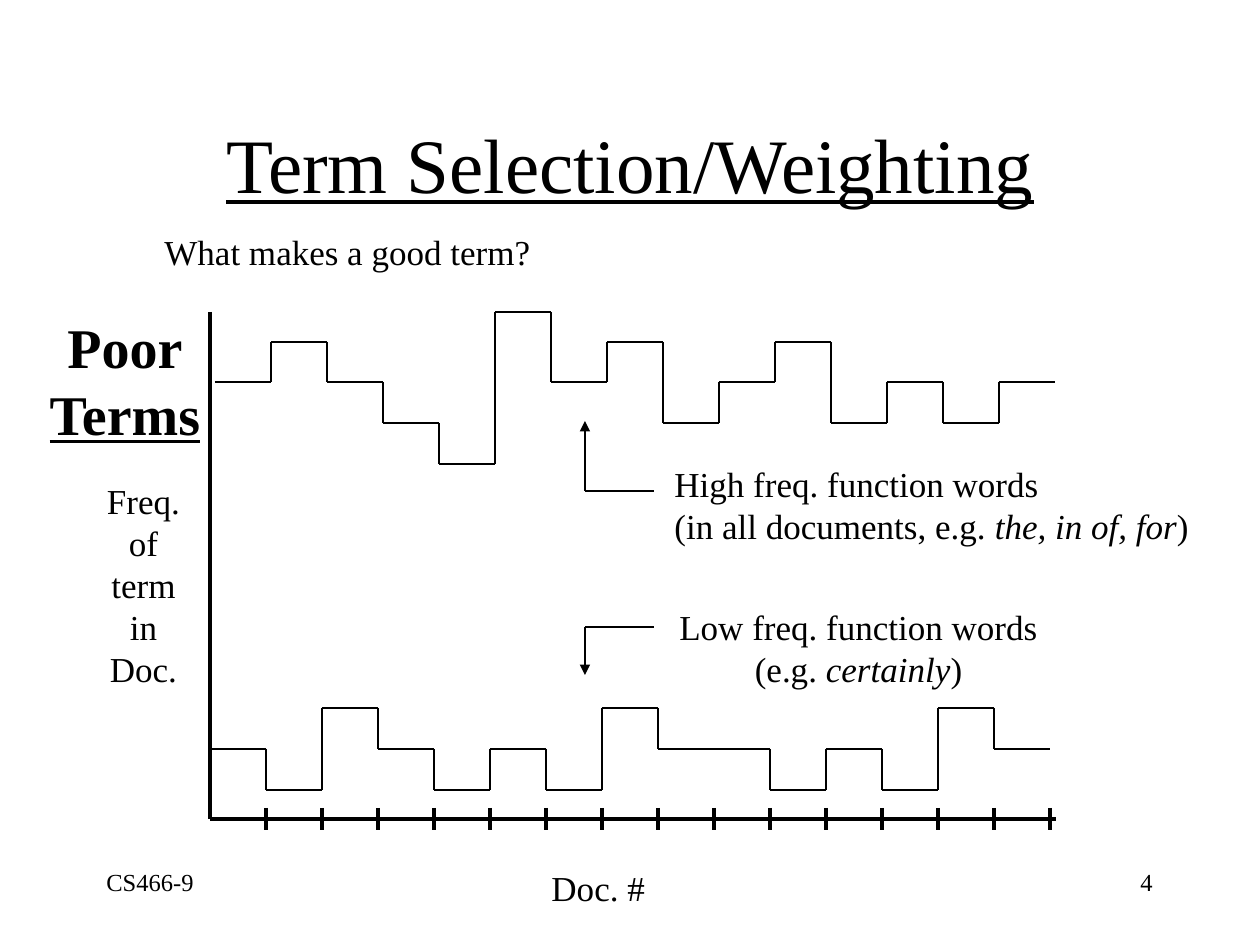
"""Build the "Term Selection/Weighting" slide with its two step curves."""
from dataclasses import dataclass, field
from itertools import groupby, pairwise

from lxml import etree
from pptx import Presentation
from pptx.dml.color import RGBColor
from pptx.enum.shapes import MSO_CONNECTOR
from pptx.enum.text import MSO_ANCHOR, MSO_AUTO_SIZE, PP_ALIGN
from pptx.oxml.ns import qn
from pptx.util import Emu, Pt

STRAIGHT = MSO_CONNECTOR.STRAIGHT
TOP, MIDDLE = MSO_ANCHOR.TOP, MSO_ANCHOR.MIDDLE
LEFT, CENTER, RIGHT = PP_ALIGN.LEFT, PP_ALIGN.CENTER, PP_ALIGN.RIGHT
GROW, FIXED = MSO_AUTO_SIZE.SHAPE_TO_FIT_TEXT, MSO_AUTO_SIZE.NONE

BLACK = RGBColor(0, 0, 0)
FONT = "Times New Roman"
PX_PER_INCH = 126
DOC_WIDTH, DOC_COUNT = 56, 15
AXIS_X, AXIS_Y = 210, 819
AXIS_PT, STEP_PT, POINTER_PT = 2.25, 1, 0.75


@dataclass(frozen=True)
class Run:
    text: str
    format: dict = field(default_factory=dict)


@dataclass(frozen=True)
class Label:
    left: int
    top: int
    width: int
    height: int
    paragraphs: list[list[Run]]
    size: int = 20
    align: PP_ALIGN = LEFT
    anchor: MSO_ANCHOR = TOP
    wrap: bool = False


@dataclass(frozen=True)
class Curve:
    left: int
    heights: dict[str, int]
    levels: str


@dataclass(frozen=True)
class Pointer:
    start_x: int
    corner_x: int
    corner_y: int
    tip_y: int


ITALIC, BOLD, UNDERLINE = {"italic": True}, {"bold": True}, {"underline": True}

LABELS = [
    Label(95, 84, 1071, 158, [[Run("Term Selection/Weighting", UNDERLINE)]],
          size=44, align=CENTER, anchor=MIDDLE, wrap=True),
    Label(152, 224, 400, 55, [[Run("What makes a good term?")]]),
    Label(539, 860, 130, 55, [[Run("Doc. #")]]),
    Label(662, 456, 550, 97, [
        [Run("High freq. function words")],
        [Run("(in all documents, e.g. "), Run("the, in of, for", ITALIC), Run(")")],
    ]),
    Label(659, 599, 399, 97, [
        [Run("Low freq. function words")],
        [Run("(e.g. "), Run("certainly", ITALIC), Run(")")],
    ], align=CENTER),
    Label(30, 306, 190, 147, [[Run("Poor", BOLD)], [Run("Terms", BOLD | UNDERLINE)]],
          size=32, align=CENTER),
    Label(89, 473, 109, 223,
          [[Run(word)] for word in ("Freq.", "of", "term", "in", "Doc.")], align=CENTER),
    Label(903, 861, 262, 63, [[Run("4")]], size=14, align=RIGHT, wrap=True),
    Label(94, 861, 262, 63, [[Run("CS466-9")]], size=14, wrap=True),
]

CURVES = [
    Curve(215, {"T": 312, "H": 342, "M": 382, "L": 423, "B": 464}, "MHMLBTMHLMHLMLM"),
    Curve(AXIS_X, {"H": 708, "M": 749, "L": 790}, "MLHMLMLHMMLMLHM"),
]

POINTERS = [Pointer(654, 585, 491, 421), Pointer(654, 585, 627, 675)]


def px(length: int) -> Emu:
    return Emu(round(length * 914400 / PX_PER_INCH))


def add_line(slide, x1: int, y1: int, x2: int, y2: int, weight: float, arrow: bool = False) -> None:
    connector = slide.shapes.add_connector(STRAIGHT, px(x1), px(y1), px(x2), px(y2))
    connector.line.color.rgb = BLACK
    connector.line.width = Pt(weight)
    properties = connector.line._get_or_add_ln()
    if arrow:
        etree.SubElement(properties, qn("a:tailEnd"), type="triangle")
    etree.SubElement(properties.getparent(), qn("a:effectLst"))


def add_label(slide, label: Label) -> None:
    box = slide.shapes.add_textbox(*map(px, (label.left, label.top, label.width, label.height)))
    frame = box.text_frame
    frame_format = {
        "word_wrap": label.wrap,
        "auto_size": FIXED if label.wrap else GROW,
        "vertical_anchor": label.anchor,
    }
    for name, value in frame_format.items():
        setattr(frame, name, value)
    for index, runs in enumerate(label.paragraphs):
        paragraph = frame.add_paragraph() if index else frame.paragraphs[0]
        paragraph.alignment = label.align
        for part in runs:
            run = paragraph.add_run()
            run.text = part.text
            run.font.color.rgb = BLACK
            for name, value in ({"name": FONT, "size": Pt(label.size)} | part.format).items():
                setattr(run.font, name, value)


def add_curve(slide, curve: Curve) -> None:
    treads = []
    x = curve.left
    for level, docs in groupby(curve.levels):
        end = x + DOC_WIDTH * len(list(docs))
        treads.append((x, end, curve.heights[level]))
        x = end
    for start, end, y in treads:
        add_line(slide, start, y, end, y, STEP_PT)
    for (_, edge, y), (_, _, next_y) in pairwise(treads):
        add_line(slide, edge, y, edge, next_y, STEP_PT)


def add_pointer(slide, pointer: Pointer) -> None:
    x, y = pointer.corner_x, pointer.corner_y
    add_line(slide, pointer.start_x, y, x, y, POINTER_PT)
    add_line(slide, x, y, x, pointer.tip_y, POINTER_PT, arrow=True)


def add_axes(slide) -> None:
    add_line(slide, AXIS_X, 312, AXIS_X, AXIS_Y, AXIS_PT)
    add_line(slide, AXIS_X, AXIS_Y, 1056, AXIS_Y, AXIS_PT)
    for doc in range(1, DOC_COUNT + 1):
        x = AXIS_X + doc * DOC_WIDTH
        add_line(slide, x, AXIS_Y - 11, x, AXIS_Y + 11, AXIS_PT)


def main() -> None:
    presentation = Presentation()
    presentation.slide_width, presentation.slide_height = px(1260), px(945)
    slide = presentation.slides.add_slide(presentation.slide_layouts[6])
    add_axes(slide)
    for curve in CURVES:
        add_curve(slide, curve)
    for pointer in POINTERS:
        add_pointer(slide, pointer)
    for label in LABELS:
        add_label(slide, label)
    presentation.save("out.pptx")


if __name__ == "__main__":
    main()
